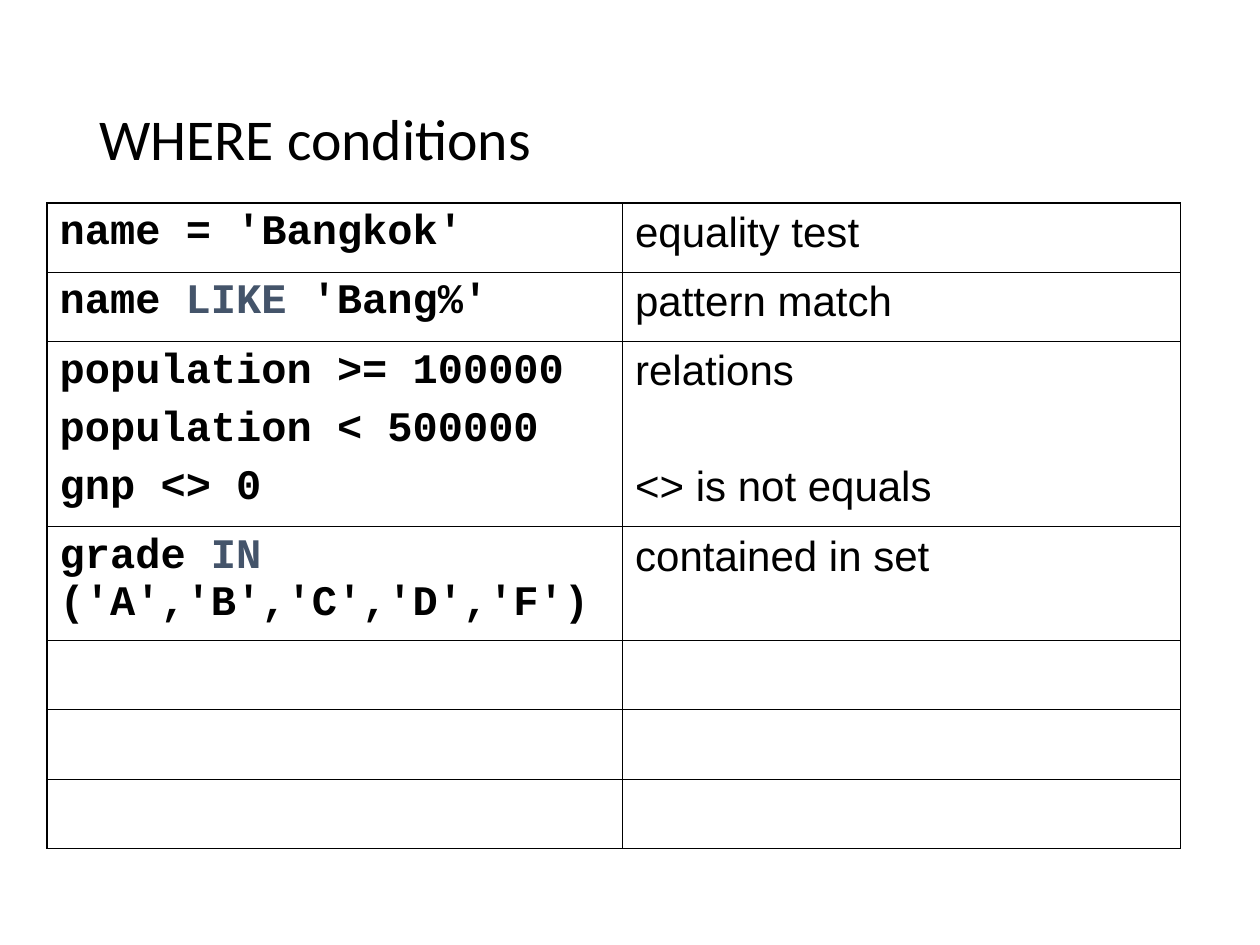
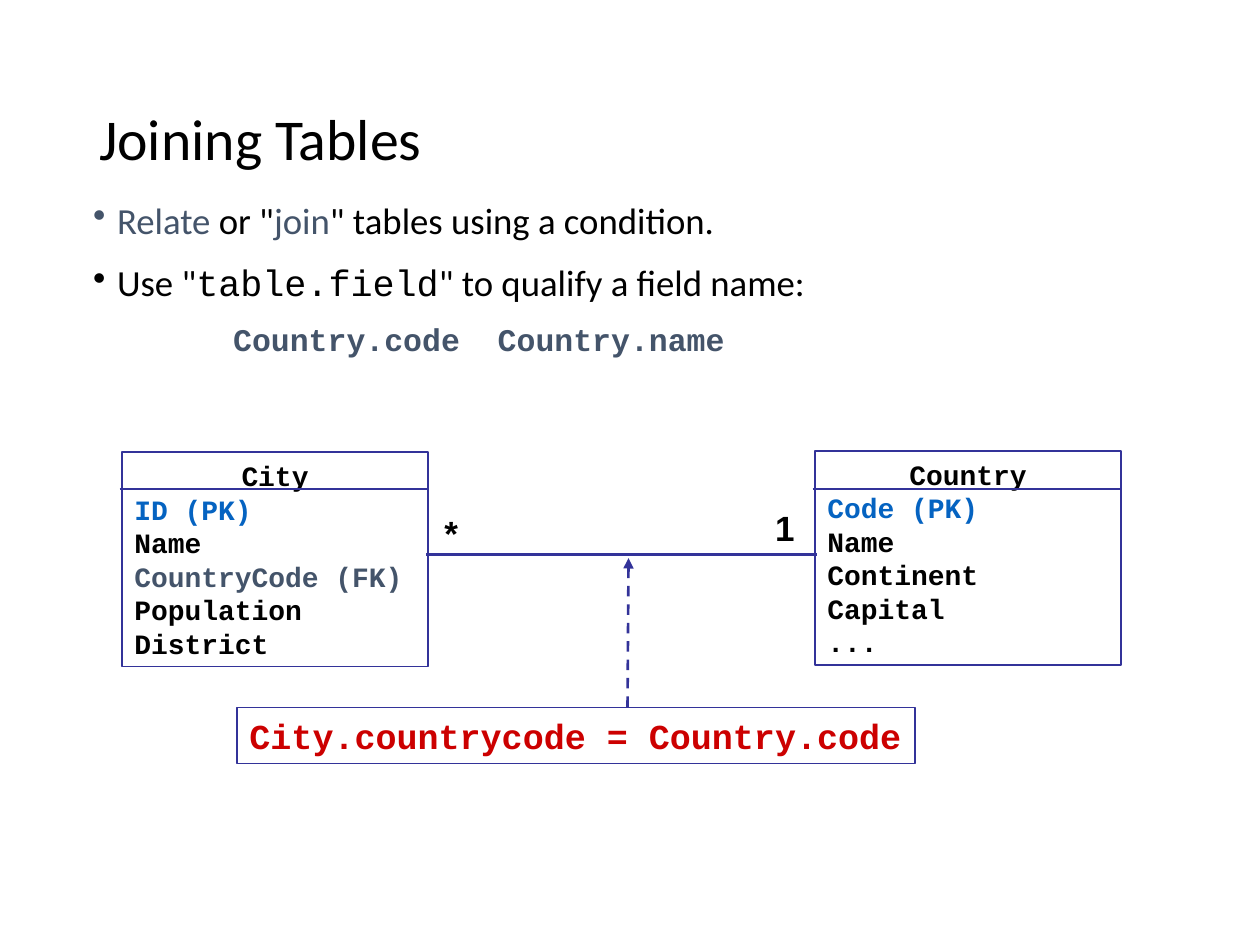
from lxml import etree
from pptx import Presentation
from pptx.dml.color import RGBColor
from pptx.enum.dml import MSO_LINE_DASH_STYLE as DASH
from pptx.enum.shapes import MSO_CONNECTOR, MSO_SHAPE
from pptx.enum.text import MSO_ANCHOR as ANCHOR, PP_ALIGN as ALIGN
from pptx.oxml.ns import qn
from pptx.util import Cm, Pt

BLACK, SLATE, LINK, RED, NAVY = "000000", "44546A", "0563C1", "CC0000", "333399"
SANS, ARIAL, MONO = "Calibri", "Arial", "Courier New"

# A paragraph is a list of runs: (text, colour[, font]).
CONDITIONS = [
    ([[("name = 'Bangkok'", BLACK)]], ["equality test"]),
    ([[("name ", BLACK), ("LIKE", SLATE), (" 'Bang%'", BLACK)]], ["pattern match"]),
    ([[("population >= 100000", BLACK)], [("population < 500000", BLACK)], [("gnp <> 0", BLACK)]],
     ["relations", "<> is not equals"]),
    ([[("grade ", BLACK), ("IN", SLATE), (" ('A','B','C','D','F')", BLACK)]], ["contained in set"]),
    ([], []),
    ([], []),
    ([], []),
]
COLUMN_WIDTHS = [11.6, 11.25]
ROW_HEIGHTS = [1.4, 1.4, 3.73, 2.29, 1.4, 1.4, 1.4]

BULLETS = [
    [("Relate", SLATE), (' or "', BLACK), ("join", SLATE), ('" tables using a condition.', BLACK)],
    [('Use "', BLACK), ("table.field", BLACK, MONO), ('" to qualify a field name:', BLACK)],
]
FIELD_EXAMPLES = "Country.code  Country.name"
JOIN_CONDITION = "City.countrycode = Country.code"

# Left and top in cm, name, fields with their colours
ENTITIES = [
    (2.46, 9.12, "City", [("ID (PK)", LINK), ("Name", BLACK), ("CountryCode (FK)", SLATE),
                          ("Population", BLACK), ("District", BLACK)]),
    (16.43, 9.09, "Country", [("Code (PK)", LINK), ("Name", BLACK), ("Continent", BLACK),
                              ("Capital", BLACK), ("...", BLACK)]),
]
ENTITY_W, ENTITY_H, DIVIDER_Y = 6.17, 4.32, 9.86
MULTIPLICITIES = [("1", 15.29, 10.08), ("*", 8.56, 10.19)]


def rgb(color):
    return RGBColor.from_string(color)


def write(tf, i, runs, font, size, bold=False, before=0, align=ALIGN.LEFT, spacing=None):
    """Write the runs as paragraph i of the text frame."""
    p = tf.paragraphs[0] if i == 0 else tf.add_paragraph()
    p.alignment = align
    p.space_before = Pt(before if i else 0)
    if spacing:
        p.line_spacing = spacing
    p.font.name, p.font.size, p.font.bold = font, Pt(size), bold
    for text, color, *own_font in runs:
        r = p.add_run()
        r.text = text
        r.font.color.rgb = rgb(color)
        if own_font:
            r.font.name = own_font[0]
    return p


def add_text(s, left, top, width, height, anchor=ANCHOR.TOP):
    tf = s.shapes.add_textbox(Cm(left), Cm(top), Cm(width), Cm(height)).text_frame
    tf.word_wrap = True
    tf.vertical_anchor = anchor
    return tf


def add_title(s, text):
    tf = add_text(s, 1.75, 1.02, 21.92, 3.68, ANCHOR.MIDDLE)
    write(tf, 0, [(text, BLACK)], SANS, 33, spacing=0.9)


def add_box(s, left, top, width, height, line_width):
    sp = s.shapes.add_shape(MSO_SHAPE.RECTANGLE, Cm(left), Cm(top), Cm(width), Cm(height))
    sp.shadow.inherit = False
    sp.fill.background()
    sp.line.color.rgb = rgb(NAVY)
    sp.line.width = Pt(line_width)
    return sp.text_frame


def add_line(s, x1, y1, x2, y2, width):
    line = s.shapes.add_connector(MSO_CONNECTOR.STRAIGHT, Cm(x1), Cm(y1), Cm(x2), Cm(y2))
    line.line.color.rgb = rgb(NAVY)
    line.line.width = Pt(width)
    etree.SubElement(line._element.spPr, qn("a:effectLst"))
    return line


def set_bullet(p, color):
    pPr = p._p.get_or_add_pPr()
    pPr.set("marL", str(Cm(0.48)))
    pPr.set("indent", str(-Cm(0.48)))
    bullet_color = etree.Element(qn("a:buClr"))
    etree.SubElement(bullet_color, qn("a:srgbClr"), val=color)
    char = etree.Element(qn("a:buChar"), char="•")
    at = pPr.index(pPr.find(qn("a:defRPr")))
    pPr[at:at] = [bullet_color, char]


def set_borders(cell, outer_sides):
    """Draw all four borders, heavier on the outer sides."""
    tcPr = cell._tc.get_or_add_tcPr()
    for side in "LRTB":
        width = Pt(1.08 if side in outer_sides else 0.45)
        ln = etree.SubElement(tcPr, qn(f"a:ln{side}"), w=str(width))
        fill = etree.SubElement(ln, qn("a:solidFill"))
        etree.SubElement(fill, qn("a:srgbClr"), val=BLACK)


def build_conditions(s):
    add_title(s, "WHERE conditions")
    table = s.shapes.add_table(len(CONDITIONS), 2, Cm(0.95), Cm(4.09),
                               Cm(sum(COLUMN_WIDTHS)), Cm(sum(ROW_HEIGHTS))).table
    table.first_row = table.horz_banding = False
    for column, width in zip(table.columns, COLUMN_WIDTHS):
        column.width = Cm(width)
    last = len(CONDITIONS) - 1
    for i, (code, notes) in enumerate(CONDITIONS):
        table.rows[i].height = Cm(ROW_HEIGHTS[i])
        edges = ("T" if i == 0 else "") + ("B" if i == last else "")
        for j, side in enumerate("LR"):
            cell = table.cell(i, j)
            set_borders(cell, edges + side)
            cell.fill.background()
        for n, runs in enumerate(code):
            write(table.cell(i, 0).text_frame, n, runs, MONO, 24, bold=True, before=6)
        for n, note in enumerate(notes):
            # The second note stands beside the third line of code
            write(table.cell(i, 1).text_frame, n, [(note, BLACK)], ARIAL, 24, before=39.5)


def build_joins(s):
    add_title(s, "Joining Tables")
    tf = add_text(s, 1.63, 3.96, 22, 5.33)
    for i, runs in enumerate(BULLETS):
        p = write(tf, i, runs, SANS, 21, before=13.1, spacing=0.9)
        set_bullet(p, runs[0][1])
    p = write(tf, len(BULLETS), [(FIELD_EXAMPLES, SLATE)], MONO, 18, True, 11.2, spacing=0.9)
    p._p.get_or_add_pPr().set("marL", str(Cm(2.82)))

    add_line(s, 8.59, 11.18, 16.46, 11.18, 1.5)
    tf = add_box(s, 4.78, 14.27, 13.67, 1.12, 0.75)
    tf.word_wrap = False
    write(tf, 0, [(JOIN_CONDITION, RED)], MONO, 20, bold=True)
    arrow = add_line(s, 12.65, 14.25, 12.67, 11.25, 1.5)
    arrow.line.dash_style = DASH.DASH
    etree.SubElement(arrow.line._get_or_add_ln(), qn("a:tailEnd"), type="triangle")

    for mark, left, top in MULTIPLICITIES:
        tf = add_text(s, left, top, 1.07, 1.12)
        write(tf, 0, [(mark, BLACK)], ARIAL, 20, bold=True, align=ALIGN.CENTER)

    for left, top, name, fields in ENTITIES:
        tf = add_box(s, left, top, ENTITY_W, ENTITY_H, 1)
        tf.word_wrap = True
        tf.vertical_anchor = ANCHOR.TOP
        for i, run in enumerate([(name, BLACK)] + fields):
            write(tf, i, [run], MONO, 16, bold=True, spacing=Pt(19.2),
                  align=ALIGN.LEFT if i else ALIGN.CENTER)
        add_line(s, left - 0.05, DIVIDER_Y, left + ENTITY_W, DIVIDER_Y, 0.75)


def main():
    prs = Presentation()
    prs.slide_width, prs.slide_height = Cm(25.4), Cm(19.05)
    for build in (build_conditions, build_joins):
        build(prs.slides.add_slide(prs.slide_layouts[6]))
    prs.save("out.pptx")


if __name__ == "__main__":
    main()
